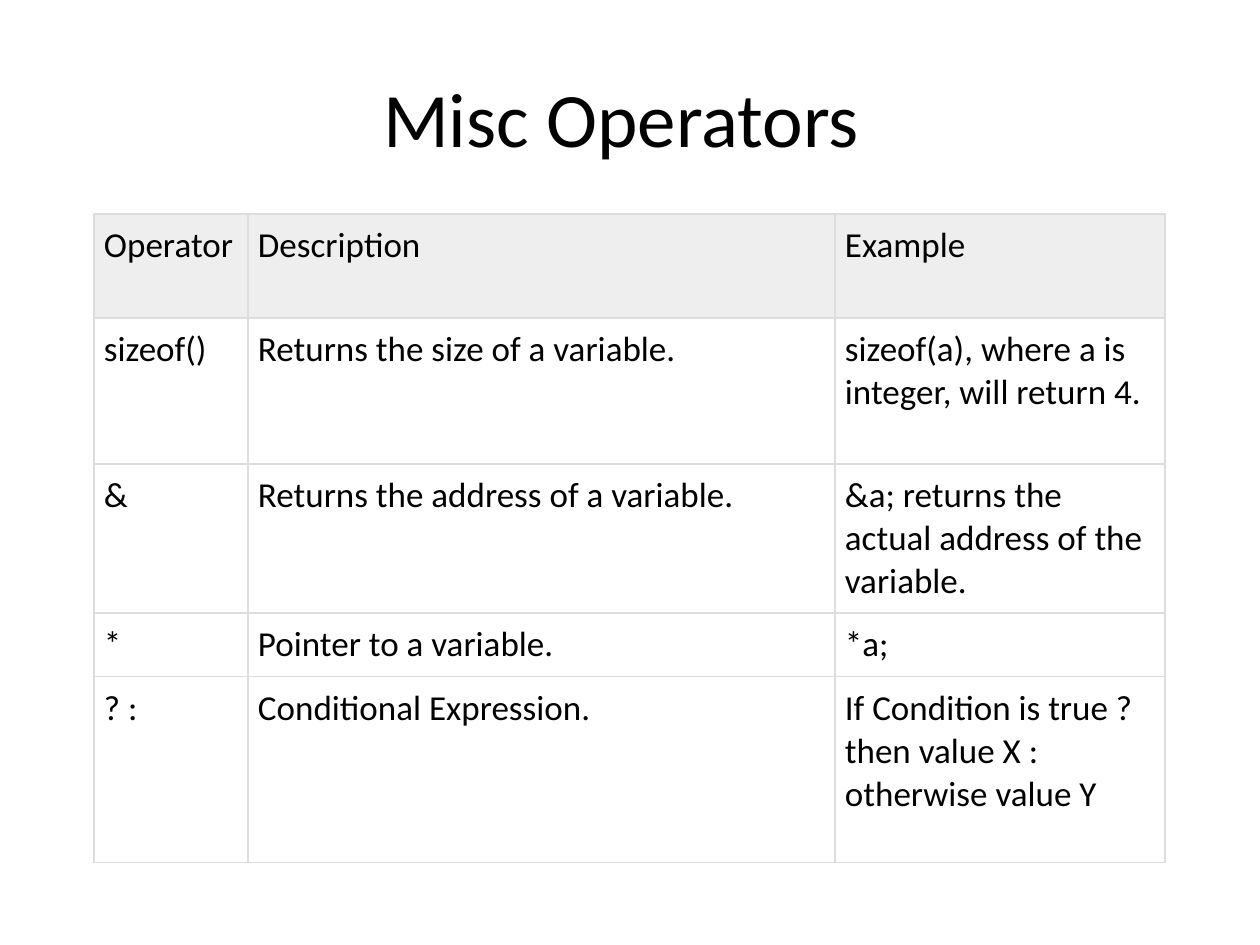
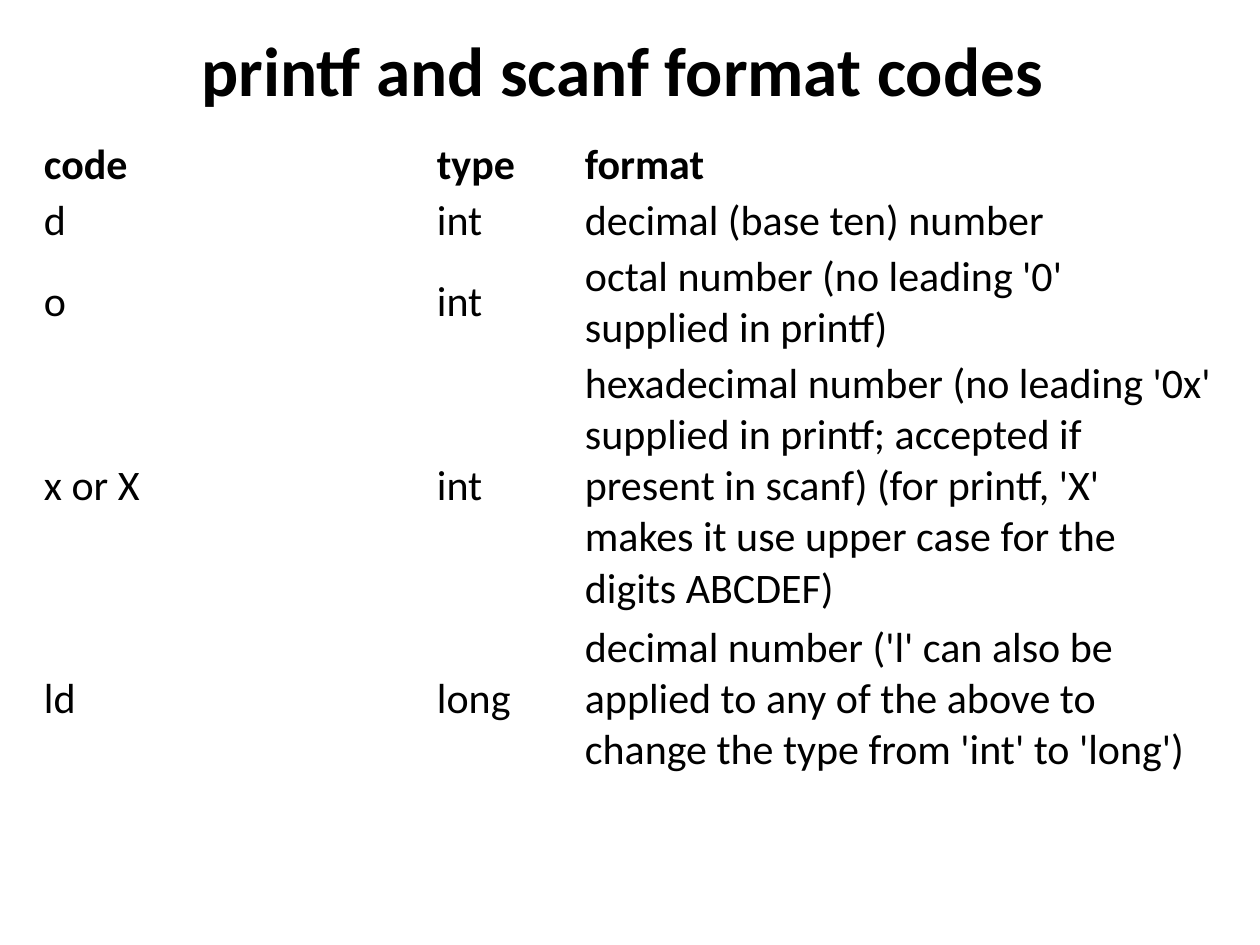
"""Builds two slides of C reference tables: misc operators and format codes."""
import dataclasses

import pptx
import pptx.dml.color
import pptx.enum.text
import pptx.oxml
import pptx.oxml.ns
import pptx.util


@dataclasses.dataclass(frozen=True)
class Theme:
    font: str = "Calibri"
    text: str = "000000"
    header: str = "EEEEEE"
    border: str = "DDDDDD"
    border_width: float = 0.75
    title_size: float = 44
    compact_title_size: float = 39.6
    operator_size: float = 20
    code_size: float = 24


theme = Theme()
SCALE = 914400 / 126


def emu(pixels):
    return pptx.util.Emu(round(pixels * SCALE))


def style_paragraph(para, size, bold):
    para.font.name = theme.font
    para.font.size = pptx.util.Pt(size)
    para.font.bold = bold
    para.font.color.rgb = pptx.dml.color.RGBColor.from_string(theme.text)


pages = [
    {
        "title": "Misc Operators\u00a0",
        "title_box": (63, 38, 1134, 157),
        "title_size": theme.title_size,
        "title_bold": False,
        "corner": (94, 214),
        "columns": (154, 587, 330),
        "rows": (104, 146, 149, 64, 186),
        "margins": (10, 10),
        "anchor": pptx.enum.text.MSO_ANCHOR.TOP,
        "text_size": theme.operator_size,
        "header_bold": False,
        "header_fill": theme.header,
        "border": theme.border,
        "cells": [
            ("Operator", "Description", "Example"),
            ("sizeof()", "Returns the size of a variable.",
             "sizeof(a), where a is integer, will return 4."),
            ("&", "Returns the address of a variable.",
             "&a; returns the actual address of the variable."),
            ("*", "Pointer to a variable.", "*a;"),
            ("? :", "Conditional Expression.",
             "If Condition is true ? then value X : otherwise value Y"),
        ],
    },
    {
        "title": "printf and scanf format codes",
        "title_box": (24, 20, 1197, 98),
        "title_size": theme.compact_title_size,
        "title_bold": True,
        "corner": (39, 137),
        "columns": (393, 148, 640),
        "rows": (56, 56, 107, 261, 165),
        "margins": (5, 2),
        "anchor": pptx.enum.text.MSO_ANCHOR.MIDDLE,
        "text_size": theme.code_size,
        "header_bold": True,
        "header_fill": None,
        "border": None,
        "cells": [
            ("code", "type", "format"),
            ("d", "int", "decimal (base ten) number"),
            ("o", "int", "octal number (no leading '0' supplied in printf)"),
            ("x or X", "int",
             "hexadecimal number (no leading '0x' supplied in printf; accepted if "
             "present in scanf) (for printf, 'X' makes it use upper case for the "
             "digits ABCDEF)"),
            ("ld", "long",
             "decimal number ('l' can also be applied to any of the above to "
             "change the type from 'int' to 'long')"),
        ],
    },
]

deck = pptx.Presentation()
deck.slide_width, deck.slide_height = emu(1260), emu(945)
title_only = deck.slide_layouts.get_by_name("Title Only")

for page in pages:
    slide = deck.slides.add_slide(title_only)
    title = slide.shapes.title
    title.left, title.top, title.width, title.height = map(emu, page["title_box"])
    title.text_frame.text = page["title"]
    title.text_frame.vertical_anchor = pptx.enum.text.MSO_ANCHOR.MIDDLE
    heading = title.text_frame.paragraphs[0]
    heading.alignment = pptx.enum.text.PP_ALIGN.CENTER
    style_paragraph(heading, page["title_size"], page["title_bold"])

    left, top = page["corner"]
    table = slide.shapes.add_table(
        len(page["rows"]), len(page["columns"]), emu(left), emu(top),
        emu(sum(page["columns"])), emu(sum(page["rows"]))).table
    table.first_row = table.horz_banding = False
    for column, width in zip(table.columns, page["columns"]):
        column.width = emu(width)
    for row, height in zip(table.rows, page["rows"]):
        row.height = emu(height)

    side, edge = page["margins"]
    for row_index, texts in enumerate(page["cells"]):
        is_header = row_index == 0
        for column_index, text in enumerate(texts):
            cell = table.cell(row_index, column_index)
            cell.text = text
            cell.vertical_anchor = page["anchor"]
            cell.margin_left = cell.margin_right = emu(side)
            cell.margin_top = cell.margin_bottom = emu(edge)
            style_paragraph(cell.text_frame.paragraphs[0], page["text_size"],
                            is_header and page["header_bold"])
            if is_header and page["header_fill"]:
                cell.fill.solid()
                cell.fill.fore_color.rgb = pptx.dml.color.RGBColor.from_string(
                    page["header_fill"])
            else:
                cell.fill.background()
            if page["border"]:
                properties = cell._tc.get_or_add_tcPr()
                for position, name in enumerate(("lnL", "lnR", "lnT", "lnB")):
                    properties.insert(position, pptx.oxml.parse_xml(
                        f'<a:{name} {pptx.oxml.ns.nsdecls("a")} '
                        f'w="{pptx.util.Pt(theme.border_width)}"><a:solidFill>'
                        f'<a:srgbClr val="{page["border"]}"/></a:solidFill></a:{name}>'))

deck.save("out.pptx")
